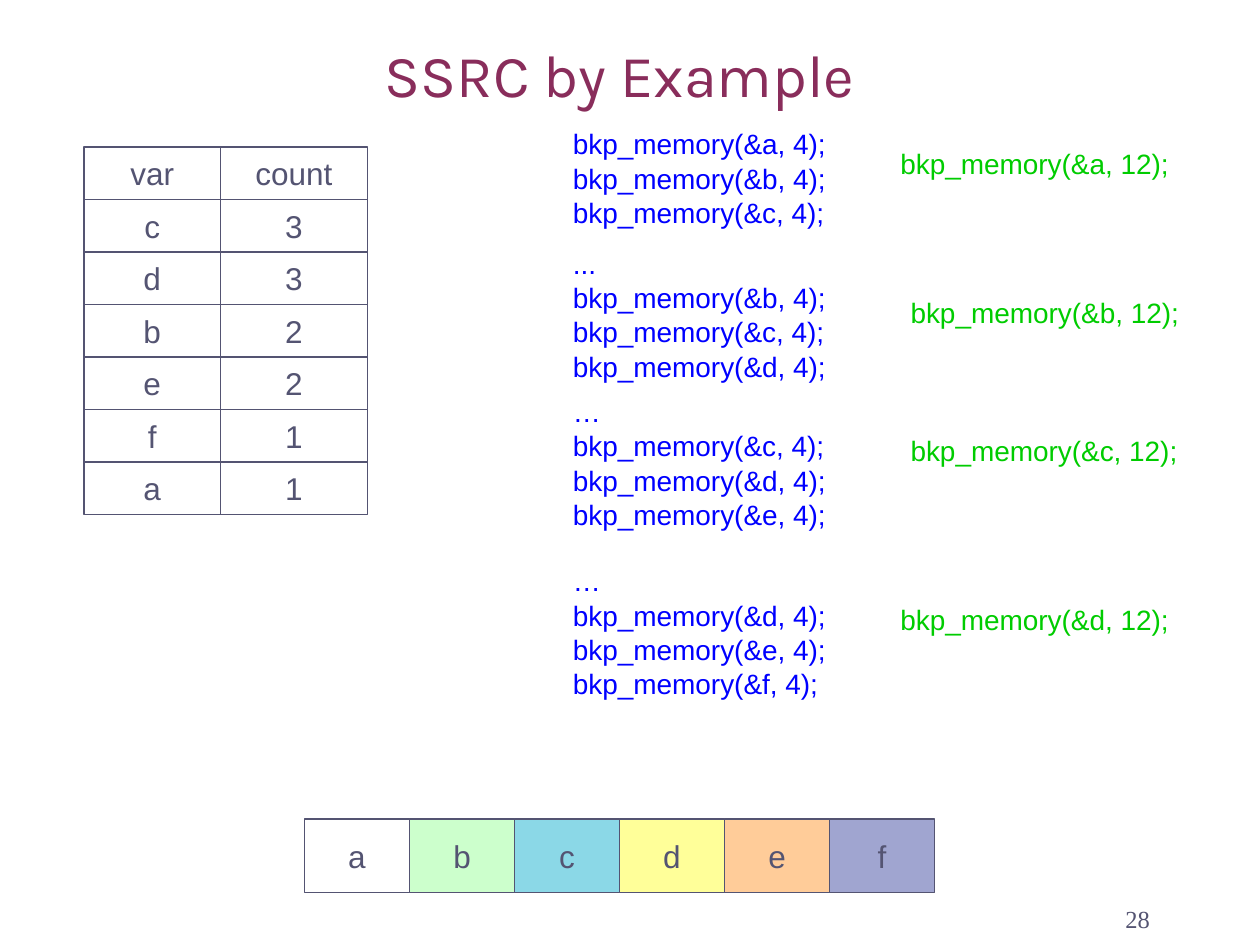
from pptx import Presentation
from pptx.dml.color import RGBColor
from pptx.enum.shapes import MSO_SHAPE
from pptx.enum.text import MSO_ANCHOR, MSO_AUTO_SIZE, PP_ALIGN
from pptx.util import Pt

SLATE = "545472"
PLUM = "892D5B"
BLUE = "0000FF"
GREEN = "00CC00"

presentation = Presentation()
presentation.slide_width = Pt(720)
presentation.slide_height = Pt(540)
slide = presentation.slides.add_slide(presentation.slide_layouts[6])
shapes = slide.shapes


def write_text(shape, text, size=18, font="Arial", color=SLATE, align=PP_ALIGN.CENTER,
               anchor=MSO_ANCHOR.MIDDLE, line_spacing=None, space_before=None,
               wrap=True, auto_size=MSO_AUTO_SIZE.NONE):
    frame = shape.text_frame
    frame.word_wrap = wrap
    frame.auto_size = auto_size
    frame.vertical_anchor = anchor
    for index, line in enumerate(text.split("\n")):
        paragraph = frame.add_paragraph() if index else frame.paragraphs[0]
        paragraph.alignment = align
        paragraph.line_spacing = line_spacing
        paragraph.space_before = space_before
        run = paragraph.add_run()
        run.text = line
        run.font.size = Pt(size)
        run.font.name = font
        run.font.color.rgb = RGBColor.from_string(color)


def add_cell(text, left, top, width, height, fill=None):
    cell = shapes.add_shape(MSO_SHAPE.RECTANGLE, Pt(left), Pt(top), Pt(width), Pt(height))
    cell.shadow.inherit = False
    if fill:
        cell.fill.solid()
        cell.fill.fore_color.rgb = RGBColor.from_string(fill)
    else:
        cell.fill.background()
    cell.line.color.rgb = RGBColor.from_string(SLATE)
    cell.line.width = Pt(0.75)
    write_text(cell, text, wrap=False)


# Variable counts, one bordered cell per value
counts = [("var", "count"), ("c", "3"), ("d", "3"), ("b", "2"),
          ("e", "2"), ("f", "1"), ("a", "1")]
for row, (variable, count) in enumerate(counts):
    top = 84 + 30 * row
    add_cell(variable, 48, top, 78, 30)
    add_cell(count, 126, top, 84, 30)

# Separate backup calls (left) and the merged call for each group (right)
groups = [
    # first lines, variables, top, width, merged left, merged top
    ([], "abc", 77.3, 170, 507.4, 88.5),
    (["..."], "bcd", 145.5, 176, 513.2, 173.5),
    (["…"], "cde", 230.3, 176, 513.2, 252.8),
    (["…"], "def", 327, 170, 507.4, 349.3),
]
code_format = dict(size=16, align=PP_ALIGN.LEFT, anchor=MSO_ANCHOR.TOP, line_spacing=0.5,
                   space_before=Pt(10), auto_size=MSO_AUTO_SIZE.SHAPE_TO_FIT_TEXT)
for lead, variables, top, width, merged_left, merged_top in groups:
    lines = lead + [f"bkp_memory(&{name}, 4);" for name in variables]
    calls = shapes.add_textbox(Pt(320.3), Pt(top), Pt(width), Pt(19.5 * len(lines) - 2.5))
    write_text(calls, "\n".join(lines), color=BLUE, **code_format)

    merged = shapes.add_textbox(Pt(merged_left), Pt(merged_top), Pt(170), Pt(36.5))
    write_text(merged, f"bkp_memory(&{variables[0]}, 12);", color=GREEN, **code_format)

# Memory layout of the variables
memory_fills = {"a": "FFFFFF", "b": "CCFFCC", "c": "8BD8E7",
                "d": "FFFF99", "e": "FFCC99", "f": "A0A5D0"}
for index, (name, fill) in enumerate(memory_fills.items()):
    add_cell(name, 174 + 60 * index, 468, 60, 42, fill)

# Title
title = shapes.add_textbox(Pt(48.2), Pt(14.8), Pt(612), Pt(51))
write_text(title, "SSRC by Example", size=34, font="Karla", color=PLUM,
           anchor=MSO_ANCHOR.BOTTOM)

# Slide number
number = shapes.add_textbox(Pt(514.2), Pt(501), Pt(150), Pt(36))
write_text(number, "28", size=14, font="Times New Roman",
           align=PP_ALIGN.RIGHT, anchor=MSO_ANCHOR.BOTTOM)

presentation.save("out.pptx")
